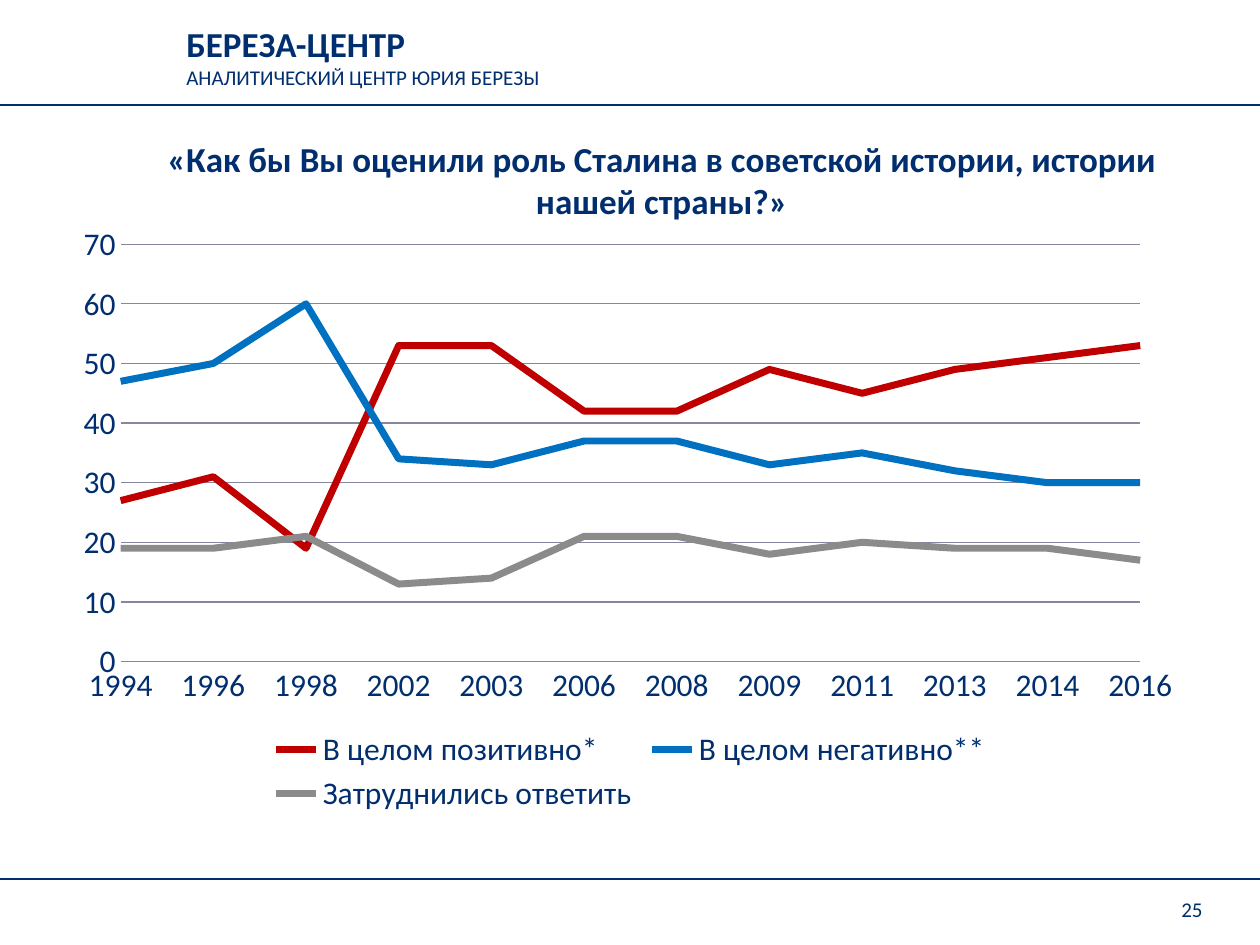
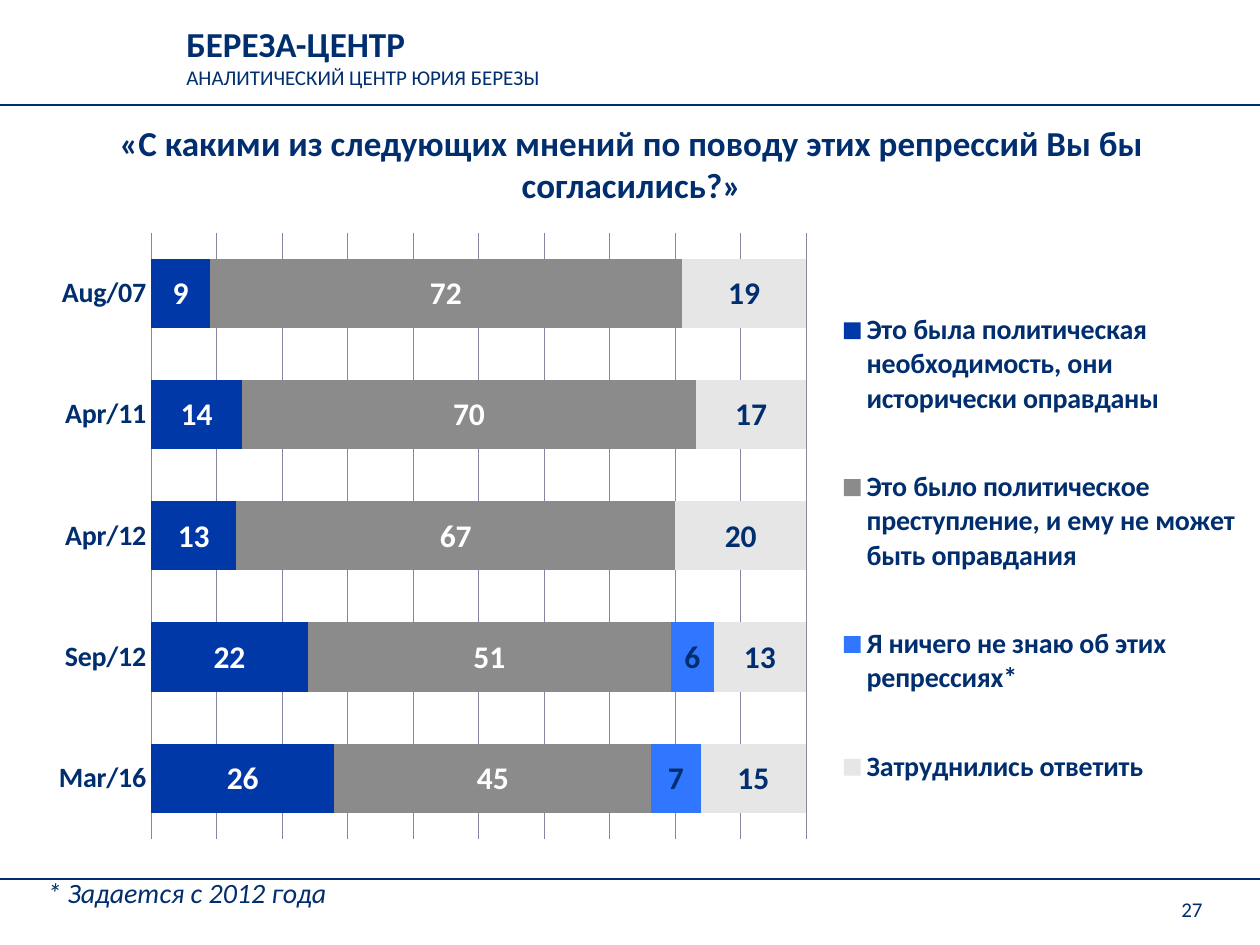
"""Build two survey slides: a line chart of ratings and a stacked bar chart of opinions."""
import dataclasses

import lxml.etree
import pptx
import pptx.chart.data
import pptx.dml.color
import pptx.enum.chart
import pptx.enum.shapes
import pptx.enum.text
import pptx.oxml.ns
import pptx.util

PX = 914400 / 126
Pt = pptx.util.Pt
RGB = pptx.dml.color.RGBColor.from_string
qn = pptx.oxml.ns.qn
XL = pptx.enum.chart
ALIGN = pptx.enum.text.PP_ALIGN
ANCHOR = pptx.enum.text.MSO_ANCHOR


@dataclasses.dataclass(frozen=True)
class Theme:
    font: str = "Calibri"
    navy: str = "002E6E"
    white: str = "FFFFFF"
    red: str = "C00000"
    sky: str = "0070C0"
    gray: str = "8B8B8B"
    royal: str = "0038A8"
    azure: str = "3176FF"
    pale: str = "E6E6E6"
    grid: str = "8587A1"
    title: int = 20
    chart: int = 18
    label: int = 16
    small: int = 12


T = Theme()


def add_text(s, box, lines, align=ALIGN.LEFT, anchor=ANCHOR.TOP):
    """Add a text box; each line is (text, size, bold, italic)."""
    tf = s.shapes.add_textbox(*(round(v * PX) for v in box)).text_frame
    tf.word_wrap = True
    tf.vertical_anchor = anchor
    for i, (text, size, bold, italic) in enumerate(lines):
        p = tf.paragraphs[0] if i == 0 else tf.add_paragraph()
        p.text = text
        p.alignment = align
        p.font.name, p.font.size = T.font, Pt(size)
        p.font.bold, p.font.italic = bold, italic
        p.font.color.rgb = RGB(T.navy)


def set_layout(parent, index, box, inner=False):
    """Place a plot area or legend at fractions of the chart."""
    for old in parent.findall(qn("c:layout")):
        parent.remove(old)
    layout = lxml.etree.Element(qn("c:layout"))
    parent.insert(index, layout)
    manual = lxml.etree.SubElement(layout, qn("c:manualLayout"))
    tags = [("layoutTarget", "inner")] if inner else []
    tags += [("xMode", "edge"), ("yMode", "edge"), *zip("xywh", box)]
    for tag, val in tags:
        lxml.etree.SubElement(manual, qn("c:" + tag)).set("val", str(val))


slides = [
    dict(
        title="«Как бы Вы оценили роль Сталина в советской истории, истории нашей страны?»",
        title_box=(127, 101, 1070, 157),
        page="25",
        kind=XL.XL_CHART_TYPE.LINE,
        chart_box=(64, 214, 1133, 605),
        plot=(0.05, 0.05, 0.9, 0.69),
        cats="1994 1996 1998 2002 2003 2006 2008 2009 2011 2013 2014 2016".split(),
        series=[
            ("В целом позитивно*", (27, 31, 19, 53, 53, 42, 42, 49, 45, 49, 51, 53), T.red),
            ("В целом негативно**", (47, 50, 60, 34, 33, 37, 37, 33, 35, 32, 30, 30), T.sky),
            ("Затруднились ответить", (19, 19, 21, 13, 14, 21, 21, 18, 20, 19, 19, 17), T.gray),
        ],
    ),
    dict(
        title="«С какими из следующих мнений по поводу этих репрессий Вы бы согласились?»",
        title_box=(105, 105, 1053, 117),
        page="27",
        kind=XL.XL_CHART_TYPE.BAR_STACKED_100,
        chart_box=(0, 213, 1260, 659),
        plot=(0.12, 0.03, 0.52, 0.92),
        cats=["Aug/07", "Apr/11", "Apr/12", "Sep/12", "Mar/16"],
        series=[
            ("Это была политическая необходимость, они исторически оправданы",
             (9, 14, 13, 22, 26), T.royal),
            ("Это было политическое преступление, и ему не может быть оправдания",
             (72, 70, 67, 51, 45), T.gray),
            ("Я ничего не знаю об этих репрессиях*", (None, None, None, 6, 7), T.azure),
            ("Затруднились ответить", (19, 17, 20, 13, 15), T.pale),
        ],
    ),
]

prs = pptx.Presentation()
prs.slide_width, prs.slide_height = round(1260 * PX), round(945 * PX)
charts = []

for d in slides:
    s = prs.slides.add_slide(prs.slide_layouts[6])
    add_text(s, (174, 16, 665, 81), [
        ("БЕРЕЗА-ЦЕНТР", T.title, True, False),
        ("АНАЛИТИЧЕСКИЙ ЦЕНТР ЮРИЯ БЕРЕЗЫ", T.small, False, False),
    ])
    for y in (105, 879):
        rule = s.shapes.add_connector(
            pptx.enum.shapes.MSO_CONNECTOR.STRAIGHT, 0, round(y * PX), prs.slide_width, round(y * PX))
        rule.line.color.rgb = RGB(T.navy)
        rule.line.width = Pt(1.5)
        lxml.etree.SubElement(rule._element.spPr, qn("a:effectLst"))
    add_text(s, d["title_box"], [(d["title"], T.title, True, False)], ALIGN.CENTER, ANCHOR.MIDDLE)

    data = pptx.chart.data.CategoryChartData()
    data.categories = d["cats"]
    for name, values, color in d["series"]:
        data.add_series(name, values)
    chart = s.shapes.add_chart(d["kind"], *(round(v * PX) for v in d["chart_box"]), data).chart
    charts.append(chart)
    chart.has_title = False
    chart.font.name, chart.font.size = T.font, Pt(T.chart)
    chart.font.color.rgb = RGB(T.navy)
    chart.has_legend = True
    chart.legend.include_in_layout = False
    chart.plots[0].vary_by_categories = False
    set_layout(chart.plots[0]._element.getparent(), 0, d["plot"], inner=True)
    for axis in (chart.category_axis, chart.value_axis):
        axis.major_tick_mark = axis.minor_tick_mark = XL.XL_TICK_MARK.NONE
    chart.value_axis.format.line.fill.background()
    chart.value_axis.has_major_gridlines = True
    for line in (chart.category_axis.format.line, chart.value_axis.major_gridlines.format.line):
        line.color.rgb = RGB(T.grid)
        line.width = Pt(0.75)
    add_text(s, (1126, 890, 89, 39), [(d["page"], T.small, False, False)], ALIGN.RIGHT, ANCHOR.MIDDLE)

add_text(s, (35, 869, 1131, 47), [("* Задается с 2012 года", T.label, False, True)])

ratings, opinions = charts

ratings.legend.position = XL.XL_LEGEND_POSITION.BOTTOM
ratings.value_axis.minimum_scale, ratings.value_axis.maximum_scale = 0, 70
ratings.value_axis.major_unit = 10
cross = lxml.etree.Element(qn("c:crossBetween"), val="midCat")
ratings.value_axis._element.find(qn("c:majorUnit")).addprevious(cross)
for ser, (name, values, color) in zip(ratings.plots[0].series, slides[0]["series"]):
    ser.smooth = False
    ser.format.line.color.rgb = RGB(color)
    ser.format.line.width = Pt(4)

opinions.legend.position = XL.XL_LEGEND_POSITION.RIGHT
set_layout(opinions.legend._element, 1, (0.66, 0.07, 0.33, 0.88))
for font in (opinions.legend.font, opinions.category_axis.tick_labels.font):
    font.size, font.bold = Pt(T.label), True
    font.name = T.font
    font.color.rgb = RGB(T.navy)
opinions.category_axis.reverse_order = True
opinions.value_axis.visible = False
opinions.value_axis.major_unit = 0.1
opinions.plots[0].gap_width, opinions.plots[0].overlap = 75, 100
for ser, (name, values, color) in zip(opinions.plots[0].series, slides[1]["series"]):
    ser.format.fill.solid()
    ser.format.fill.fore_color.rgb = RGB(color)
    labels = ser.data_labels
    labels.show_value = True
    labels.position = XL.XL_LABEL_POSITION.CENTER
    labels.font.name, labels.font.size, labels.font.bold = T.font, Pt(T.chart), True
    labels.font.color.rgb = RGB(T.white if color in (T.royal, T.gray) else T.navy)

prs.save("out.pptx")
